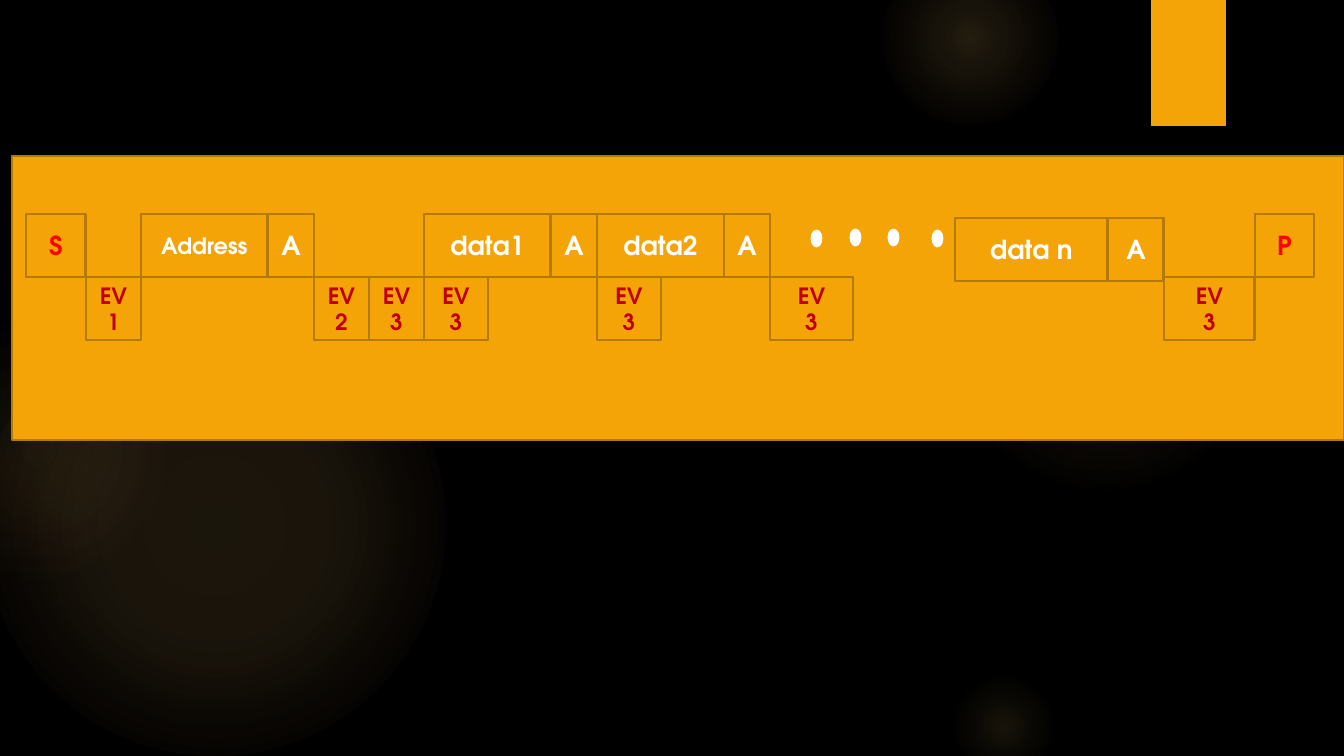
from lxml.etree import SubElement
from pptx import Presentation
from pptx.dml.color import RGBColor
from pptx.enum.shapes import MSO_SHAPE as Preset
from pptx.enum.text import MSO_ANCHOR as Anchor, PP_ALIGN as Align
from pptx.oxml.ns import qn
from pptx.util import Pt

PX = 9144000 / 1344
BLACK = RGBColor(0x00, 0x00, 0x00)
WHITE = RGBColor(0xFF, 0xFF, 0xFF)
AMBER = RGBColor(0xF5, 0xA4, 0x08)
BROWN = RGBColor(0xB5, 0x79, 0x06)
RED = RGBColor(0xFF, 0x00, 0x00)
DARK_RED = RGBColor(0xC0, 0x00, 0x00)
GLOW = RGBColor(0xFA, 0xC9, 0x6A)
PEACH = RGBColor(0xF5, 0x9B, 0x74)

CELL_H, BUS_Y, EVENT_Y = 63, 214, 277
BUS = {"size": Pt(14), "bold": True, "name": "TeX Gyre Adventor"}
SMALL = {**BUS, "size": Pt(12)}


def emu(px):
    return round(px * PX)


class Painter:
    def __init__(self, slide):
        self.slide = slide

    def shape(self, preset, x, y, w, h, fill=None, line=None):
        shape = self.slide.shapes.add_shape(preset, emu(x), emu(y), emu(w), emu(h))
        shape.shadow.inherit = False
        for part, color in ((shape.fill, fill), (shape.line.fill, line)):
            if color is None:
                part.background()
            else:
                part.solid()
                part.fore_color.rgb = color
        if line is not None:
            shape.line.width = Pt(1.5)
        return shape

    def glow(self, x, y, size, stops):
        """Circle that fades outwards; stops are (position %, colour, opacity %)."""
        circle = self.shape(Preset.OVAL, x, y, size, size, BLACK)
        solid = circle.element.spPr.find(qn("a:solidFill"))
        grad = solid.makeelement(qn("a:gradFill"), {"rotWithShape": "1"})
        stop_list = SubElement(grad, qn("a:gsLst"))
        for position, color, opacity in stops:
            stop = SubElement(stop_list, qn("a:gs"), pos=str(position * 1000))
            tint = SubElement(stop, qn("a:srgbClr"), val=str(color))
            SubElement(tint, qn("a:alpha"), val=str(opacity * 1000))
        centre = SubElement(grad, qn("a:path"), path="circle")
        SubElement(centre, qn("a:fillToRect"), {side: "50000" for side in "ltrb"})
        solid.getparent().replace(solid, grad)

    def cell(self, label, x, y, w, color, style):
        frame = self.shape(Preset.RECTANGLE, x, y, w, CELL_H, line=BROWN).text_frame
        frame.word_wrap = True
        frame.vertical_anchor = Anchor.MIDDLE
        frame.text = label
        for paragraph in frame.paragraphs:
            paragraph.alignment = Align.CENTER
            font = paragraph.runs[0].font
            for key, value in style.items():
                setattr(font, key, value)
            font.color.rgb = color

    def sequence(self, x, cells, bus_y=BUS_Y):
        """Lay cells end to end, events on the lower row; return the right edge."""
        for label, w in cells:
            if label.startswith("EV"):
                self.cell(label, x, EVENT_Y, w, DARK_RED, SMALL)
            else:
                color = RED if label in ("S", "P") else WHITE
                self.cell(label, x, bus_y, w, color, SMALL if label == "Address" else BUS)
            x += w
        return x


def main():
    deck = Presentation()
    deck.slide_width, deck.slide_height = emu(1344), emu(756)
    slide = deck.slides.add_slide(deck.slide_layouts[6])
    slide.background.fill.solid()
    slide.background.fill.fore_color.rgb = BLACK
    painter = Painter(slide)

    # Background glows and corner tab
    for x, y, size, stops in (
        (-17, 294, 462, ((0, GLOW, 11), (36, GLOW, 10), (75, GLOW, 0))),
        (-92, 319, 261, ((0, GLOW, 8), (36, GLOW, 5), (71, PEACH, 0))),
        (949, 185, 311, ((0, GLOW, 7), (36, GLOW, 6), (69, GLOW, 0))),
        (882, -50, 176, ((0, GLOW, 14), (36, GLOW, 7), (73, GLOW, 0))),
        (949, 672, 109, ((0, GLOW, 10), (31, GLOW, 5), (66, GLOW, 0))),
    ):
        painter.glow(x, y, size, stops)
    painter.shape(Preset.RECTANGLE, 1151, 0, 75, 126, AMBER)

    # Band behind the transfer sequence
    painter.shape(Preset.RECTANGLE, 12, 156, 1332, 284, AMBER, BROWN)

    # Start, address and first data bytes
    painter.sequence(26, (
        ("S", 60), ("EV1", 55), ("Address", 127), ("A", 46), ("EV2", 55),
        ("EV3", 55), ("data1", 127), ("A", 46), ("data2", 127), ("A", 46),
    ))

    # Events below the data bytes
    for x, w in ((424, 64), (597, 64), (770, 83)):
        painter.sequence(x, (("EV\n3", w),))

    # Last data byte and stop
    last_ack = painter.sequence(955, (("data n", 153), ("A", 56)), bus_y=218)
    painter.sequence(last_ack, (("EV\n3", 91), ("P", 59)))

    # Dots for the omitted bytes
    for x, y in ((812, 231), (851, 230), (889, 230), (933, 231)):
        painter.shape(Preset.OVAL, x, y, 9, 15, WHITE, WHITE)

    deck.save("out.pptx")


if __name__ == "__main__":
    main()
